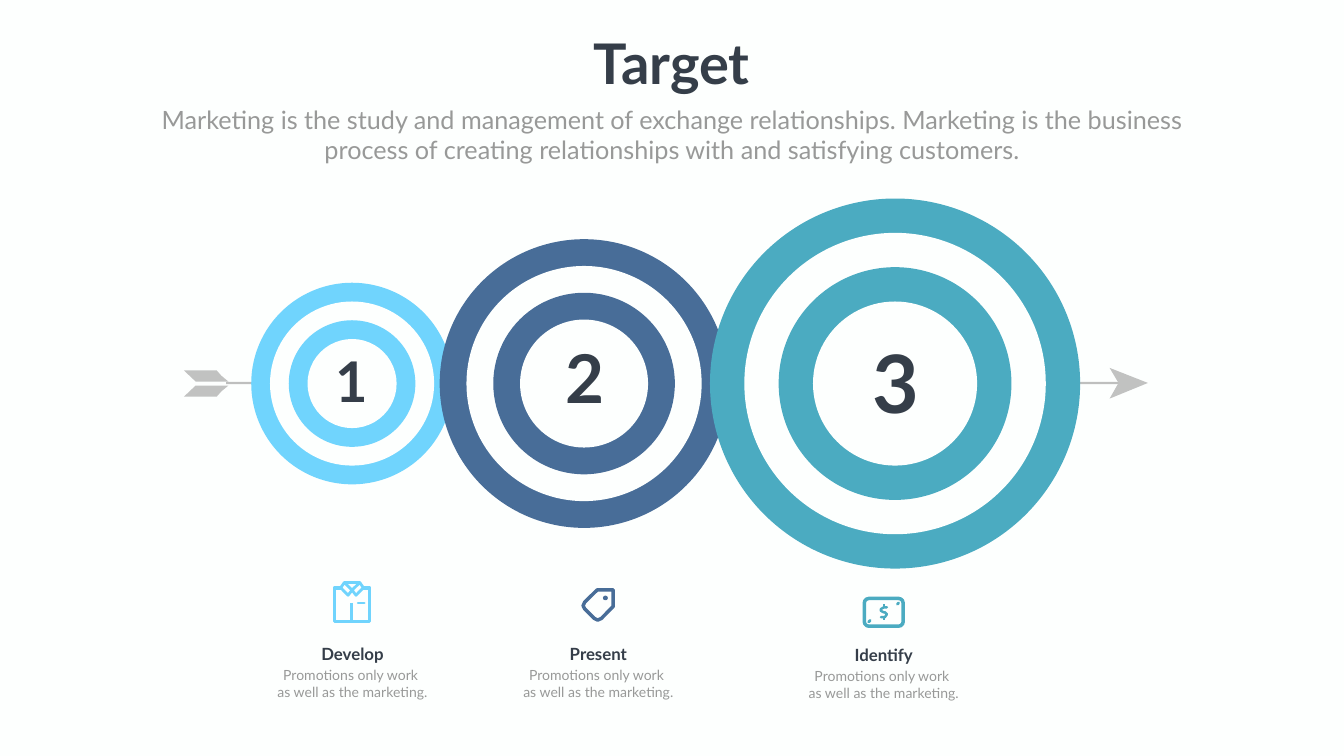
from pptx import Presentation
from pptx.dml.color import RGBColor
from pptx.enum.shapes import MSO_CONNECTOR, MSO_SHAPE
from pptx.enum.text import MSO_ANCHOR, PP_ALIGN
from pptx.oxml.ns import qn
from pptx.util import Cm, Pt
from lxml.etree import SubElement

FONT = "Lato"
HUES = {
    "back": "FDFFFE", "dark": "353E49", "gray": "989998",
    "shaft": "808080", "tip": "C1C2C1",
    "sky": "70D4FD", "navy": "486D98", "teal": "4BABC1",
}
MID = 19.33  # height of the ring centres


def tint(name):
    return RGBColor.from_string(HUES[name])


def flip(points, x=None, y=None):
    """Mirror points about a vertical line x or a level line y."""
    return [(px if x is None else 2 * x - px, py if y is None else 2 * y - py)
            for px, py in points]


class Stage:
    def __init__(self, deck):
        self.slide = deck.slides.add_slide(deck.slide_layouts[5])
        self.shapes = self.slide.shapes
        fill = self.slide.background.fill
        fill.solid()
        fill.fore_color.rgb = tint("back")

    def paint(self, shape, hue, width=0):
        """Fill the shape, or outline it when a width is given."""
        shape.shadow.inherit = False
        if width:
            shape.fill.background()
            self.ink(shape.line, hue, width)
        else:
            shape.fill.solid()
            shape.fill.fore_color.rgb = tint(hue)
            shape.line.fill.background()

    def ink(self, line, hue, width):
        line.color.rgb = tint(hue)
        line.width = Pt(width)

    def soften(self, shape):
        """Round the caps and joins of the outline."""
        edge = shape.line._get_or_add_ln()
        edge.set("cap", "rnd")
        SubElement(edge, qn("a:round"))

    def form(self, kind, x, y, w, h, hue, width=0):
        shape = self.shapes.add_shape(kind, Cm(x), Cm(y), Cm(w), Cm(h))
        self.paint(shape, hue, width)

    def trace(self, points, hue, width=0, close=True):
        """Draw a straight-sided outline through the points."""
        spots = [(Cm(x), Cm(y)) for x, y in points]
        pen = self.shapes.build_freeform(*spots[0], scale=1.0)
        pen.add_line_segments(spots[1:], close=close)
        shape = pen.convert_to_shape()
        self.paint(shape, hue, width)
        if width:
            self.soften(shape)

    def line(self, x1, y1, x2, y2, hue, width, alpha=100):
        wire = self.shapes.add_connector(
            MSO_CONNECTOR.STRAIGHT, Cm(x1), Cm(y1), Cm(x2), Cm(y2))
        self.ink(wire.line, hue, width)
        if alpha < 100:
            color = wire.line._get_or_add_ln().find(".//" + qn("a:srgbClr"))
            SubElement(color, qn("a:alpha"), val=str(alpha * 1000))
        SubElement(wire._element.spPr, qn("a:effectLst"))
        return wire

    def dash(self, *args):
        """Draw a line with round ends."""
        self.soften(self.line(*args))

    def put(self, frame, lines, size, hue, bold, wrap):
        """Set the lines of text into a frame."""
        frame.word_wrap = wrap
        frame.vertical_anchor = MSO_ANCHOR.TOP
        for i, text in enumerate(lines):
            para = frame.add_paragraph() if i else frame.paragraphs[0]
            para.alignment = PP_ALIGN.CENTER
            run = para.add_run()
            run.text = text
            run.font.name = FONT
            run.font.size = Pt(size)
            run.font.bold = bold
            run.font.color.rgb = tint(hue)

    def text(self, mid, y, w, h, lines, size, hue="dark", bold=True, wrap=True):
        """Add a text box centred on mid."""
        box = self.shapes.add_textbox(Cm(mid - w / 2), Cm(y), Cm(w), Cm(h))
        self.put(box.text_frame, lines, size, hue, bold, wrap)

    def title(self, x, y, w, h, text, size):
        box = self.shapes.title
        box.left, box.top, box.width, box.height = Cm(x), Cm(y), Cm(w), Cm(h)
        self.put(box.text_frame, [text], size, "dark", True, False)

    def arrow(self):
        self.line(11.4, 19.3, 56.49, 19.3, "shaft", 3, 50)
        vane = [(9.27, 18.67), (10.92, 18.67), (11.15, 18.93),
                (11.51, 19.23), (9.86, 19.23)]
        self.trace(vane, "tip")
        self.trace(flip(vane, y=MID), "tip")
        self.trace([(57.84, 19.3), (55.91, 20.09), (56.36, 19.3),
                    (55.91, 18.54)], "tip")

    def target(self, mid, size, step, hue):
        """Stack four discs, each smaller by step."""
        for i in range(4):
            d = size - i * step
            self.form(MSO_SHAPE.OVAL, mid - d / 2, MID - d / 2, d, d,
                      "back" if i % 2 else hue)

    def shirt(self, hue):
        mid = 17.74
        self.trace([(17.17, 29.63), (16.85, 29.63), (16.85, 31.33),
                    (18.63, 31.33), (18.63, 29.63), (18.31, 29.63)],
                   hue, 5, False)
        lapel = [(17.35, 29.36), (17.17, 29.62), (17.54, 30), (mid, 29.74),
                 (17.35, 29.36)]
        self.trace(lapel, hue, 4)
        self.trace(flip(lapel, x=mid), hue, 4)
        self.line(17.35, 29.36, 18.13, 29.36, hue, 4.5)
        self.line(17.72, 30.38, 17.72, 31.37, hue, 3.5)
        self.dash(18.04, 30.4, 18.36, 30.4, hue, 3.5)

    def tag(self, hue):
        self.trace([(30.09, 29.73), (30.9, 29.73), (30.9, 30.56),
                    (30.3, 31.17), (30.12, 31.25), (29.95, 31.17),
                    (29.46, 30.68), (29.38, 30.53), (29.46, 30.35)], hue, 5)
        self.form(MSO_SHAPE.OVAL, 30.38, 30.02, 0.25, 0.23, hue)

    def bill(self, hue):
        self.form(MSO_SHAPE.ROUNDED_RECTANGLE, 43.55, 30.16, 1.96, 1.4, hue, 5)
        self.trace([(44.69, 30.61), (44.53, 30.61), (44.38, 30.7),
                    (44.38, 30.78), (44.53, 30.86), (44.59, 30.86),
                    (44.69, 30.96), (44.59, 31.1), (44.39, 31.1)],
                   hue, 3.5, False)
        self.line(44.54, 30.45, 44.54, 30.6, hue, 3.5)
        self.line(44.54, 31.1, 44.54, 31.27, hue, 3.5)
        self.dash(45.22, 30.45, 45.28, 30.38, hue, 4)
        self.dash(43.77, 31.34, 43.84, 31.27, hue, 4)

    def label(self, mid, y, head):
        self.text(mid, y, 6.05, 1.27, [head], 24)
        self.text(mid, y + 1.17, 10.72, 1.96,
                  ["Promotions only work ", "as well as the marketing."],
                  20, "gray", False)


def main():
    deck = Presentation()
    deck.slide_width, deck.slide_height = Cm(67.72), Cm(38.1)
    stage = Stage(deck)
    stage.title(29.41, 1.32, 8.89, 3.68, "Target", 80)
    stage.text(33.86, 5.11, 52.88, 3.33, [
        "Marketing is the study and management of exchange relationships. "
        "Marketing is the business process of creating relationships with "
        "and satisfying customers."], 36, "gray", False)

    stage.arrow()
    for args in [(17.74, 10.16, 1.89, "sky"), (29.43, 14.55, 2.7, "navy"),
                 (45.1, 18.65, 3.46, "teal")]:
        stage.target(*args)
    for num, mid, y, w, h, size in [
            ("1", 17.72, 17.32, 2.16, 3.68, 80),
            ("2", 29.49, 16.81, 2.49, 4.37, 96),
            ("3", 45.16, 16.64, 2.9, 5.18, 115)]:
        stage.text(mid, y, w, h, [num], size, wrap=False)

    stage.shirt("sky")
    stage.tag("navy")
    stage.bill("teal")
    for args in [(17.76, 32.31, "Develop"), (30.15, 32.31, "Present"),
                 (44.53, 32.36, "Identify")]:
        stage.label(*args)
    deck.save("out.pptx")


if __name__ == "__main__":
    main()
